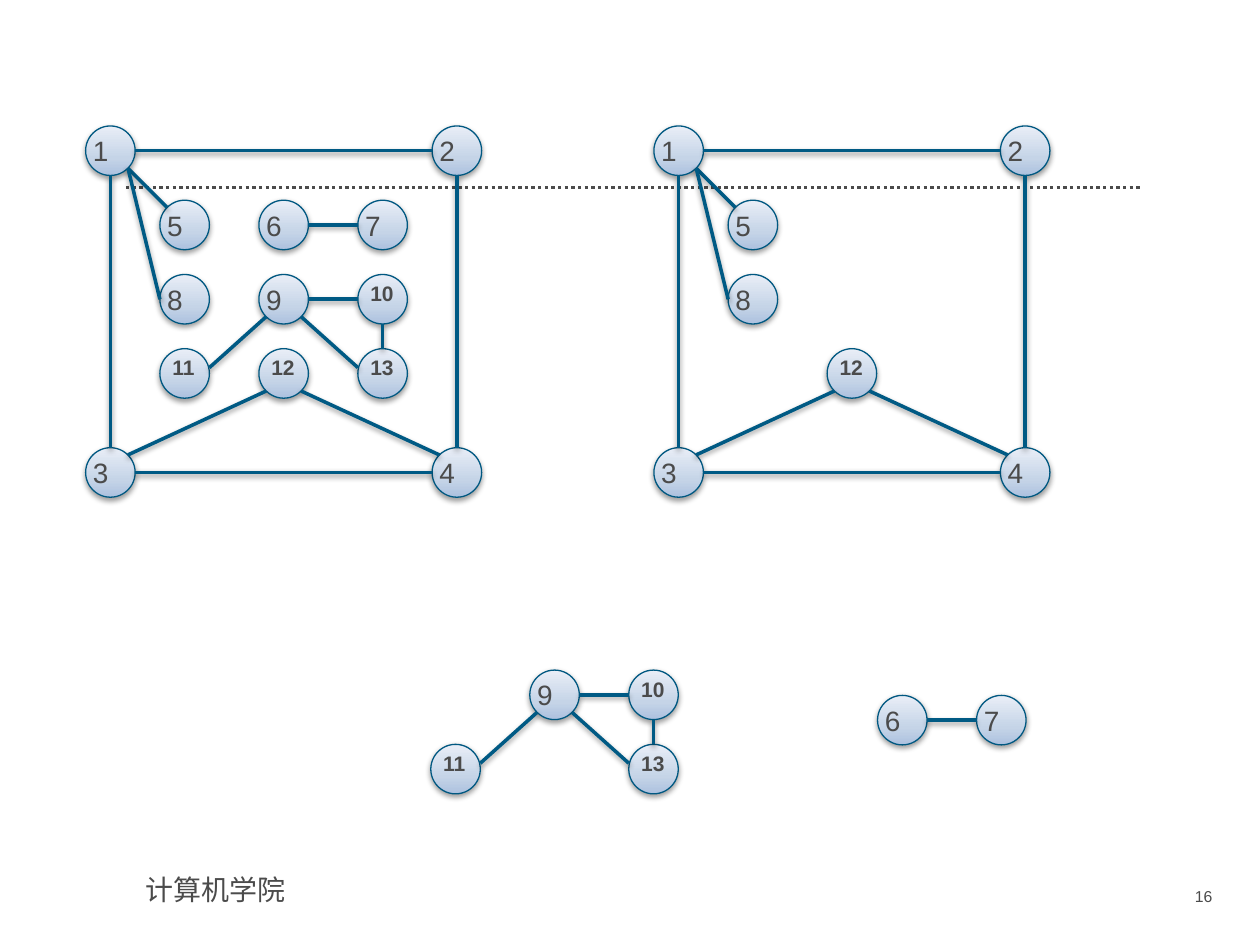
from copy import deepcopy
from lxml import etree
from pptx import Presentation
from pptx.dml.color import RGBColor
from pptx.enum.dml import MSO_LINE
from pptx.enum.shapes import MSO_CONNECTOR, MSO_SHAPE
from pptx.enum.text import MSO_ANCHOR, PP_ALIGN
from pptx.oxml import parse_xml
from pptx.util import Inches, Pt

DOT = MSO_LINE.ROUND_DOT
LINE = MSO_CONNECTOR.STRAIGHT
OVAL = MSO_SHAPE.OVAL
MID, TOP = MSO_ANCHOR.MIDDLE, MSO_ANCHOR.TOP
LEFT, MIDDLE, RIGHT = PP_ALIGN.LEFT, PP_ALIGN.CENTER, PP_ALIGN.RIGHT
NS = "http://schemas.openxmlformats.org/drawingml/2006/main"
SHADE = (
    f'<a:outerShdw xmlns:a="{NS}" blurRad="40000" dist="20000" dir="5400000" rotWithShape="0">'
    '<a:srgbClr val="000000"><a:alpha val="38000"/></a:srgbClr></a:outerShdw>'
)
STEP = 2.75 / 14
SIZE = 2 * STEP
DIAG = 0.71

color = RGBColor.from_string


def write(shape, words, size, bold=False, align=LEFT, anchor=TOP):
    frame = shape.text_frame
    frame.word_wrap = True
    frame.vertical_anchor = anchor
    para = frame.paragraphs[0]
    para.alignment = align
    run = para.add_run()
    run.text = words
    for key, value in {"size": Pt(size), "bold": bold, "name": "Arial"}.items():
        setattr(run.font, key, value)
    run.font.color.rgb = color("4B4B4B")


def draw(start, end, tint, width):
    line = slide.shapes.add_connector(LINE, *[Inches(v) for v in (*start, *end)])
    line.line.color.rgb = color(tint)
    line.line.width = Pt(width)
    etree.SubElement(line._element.spPr, f"{{{NS}}}effectLst")
    return line


prs = Presentation()
prs.slide_width, prs.slide_height = Inches(10), Inches(7.5)
slide = prs.slides.add_slide(prs.slide_layouts[6])

draw((1, 1.49), (9.06, 1.49), "4B4B4B", 1.9).line.dash_style = DOT
for words, box, size, align in [
    ("计算机学院", (1.06, 6.88, 2.76, 0.37), 16, LEFT),
    ("16", (8.73, 6.99, 0.99, 0.29), 9, RIGHT),
]:
    text = slide.shapes.add_textbox(*[Inches(v) for v in box])
    write(text, words, size, align=align)

grid = {
    1: (0, 0), 2: (14, 0), 3: (0, 13), 4: (14, 13),
    5: (3, 3), 6: (7, 3), 7: (11, 3),
    8: (3, 6), 9: (7, 6), 10: (11, 6),
    11: (3, 9), 12: (7, 9), 13: (11, 9),
}
sites = {
    "n": (0, -1), "s": (0, 1), "w": (-1, 0), "e": (1, 0),
    "nw": (-DIAG, -DIAG), "ne": (DIAG, -DIAG),
    "sw": (-DIAG, DIAG), "se": (DIAG, DIAG),
}
edges = [
    (1, "e", 2, "w"), (1, "s", 3, "n"), (4, "w", 3, "e"), (2, "s", 4, "n"),
    (1, "se", 5, "nw"), (1, "se", 8, "w"), (6, "e", 7, "w"),
    (9, "e", 10, "w"), (13, "n", 10, "s"),
    (9, "se", 13, "w"), (9, "sw", 11, "e"),
    (12, "se", 4, "nw"), (12, "sw", 3, "ne"),
]
joins = {(9, 13): 1, (9, 11): 3}
graphs = [
    (0.68, 1, list(grid)),
    (5.19, 1, [1, 2, 3, 4, 5, 8, 12]),
    (2.83, 4.14, [9, 10, 11, 13]),
    (5.59, 4.93, [6, 7]),
]
stops = [(0, "ACC1DF"), (0.35, "C5D4E7"), (1, "E9EEF7")]

for left, top, nodes in graphs:
    tags = {}
    for num in nodes:
        col, row = grid[num]
        x, y = Inches(left + col * STEP), Inches(top + row * STEP)
        node = slide.shapes.add_shape(OVAL, x, y, Inches(SIZE), Inches(SIZE))
        node.fill.gradient()
        node.fill.gradient_angle = 90
        ramp = node._element.spPr.find(f".//{{{NS}}}gsLst")
        ramp.insert(1, deepcopy(ramp[0]))
        for stop, (place, tint) in zip(node.fill.gradient_stops, stops):
            stop.position = place
            stop.color.rgb = color(tint)
        node.line.color.rgb = color("005881")
        node.line.width = Pt(0.75)
        node.shadow.inherit = False
        node._element.spPr.find(f"{{{NS}}}effectLst").append(parse_xml(SHADE))
        if num < 10:
            for side, gap in {"left": 0, "top": 0, "right": 0.2, "bottom": 0}.items():
                setattr(node.text_frame, f"margin_{side}", Inches(gap))
            write(node, str(num), 16, align=MIDDLE, anchor=MID)
        else:
            tags[num] = slide.shapes.add_textbox(x, y, Inches(SIZE), Inches(0.3))
            write(tags[num], str(num), 12, bold=True)

    for tail, out, head, into in edges:
        if tail not in nodes or head not in nodes:
            continue
        ends = []
        for num, site in ((tail, out), (head, into)):
            (col, row), (dx, dy) = grid[num], sites[site]
            ends.append((left + (col + 1 + dx) * STEP, top + (row + 1 + dy) * STEP))
        edge = draw(*ends, "005A84", 2)
        edge._element.spPr.find(f"{{{NS}}}effectLst").append(parse_xml(SHADE))
        if (tail, head) in joins:
            edge.end_connect(tags[head], joins[tail, head])

prs.save("out.pptx")
